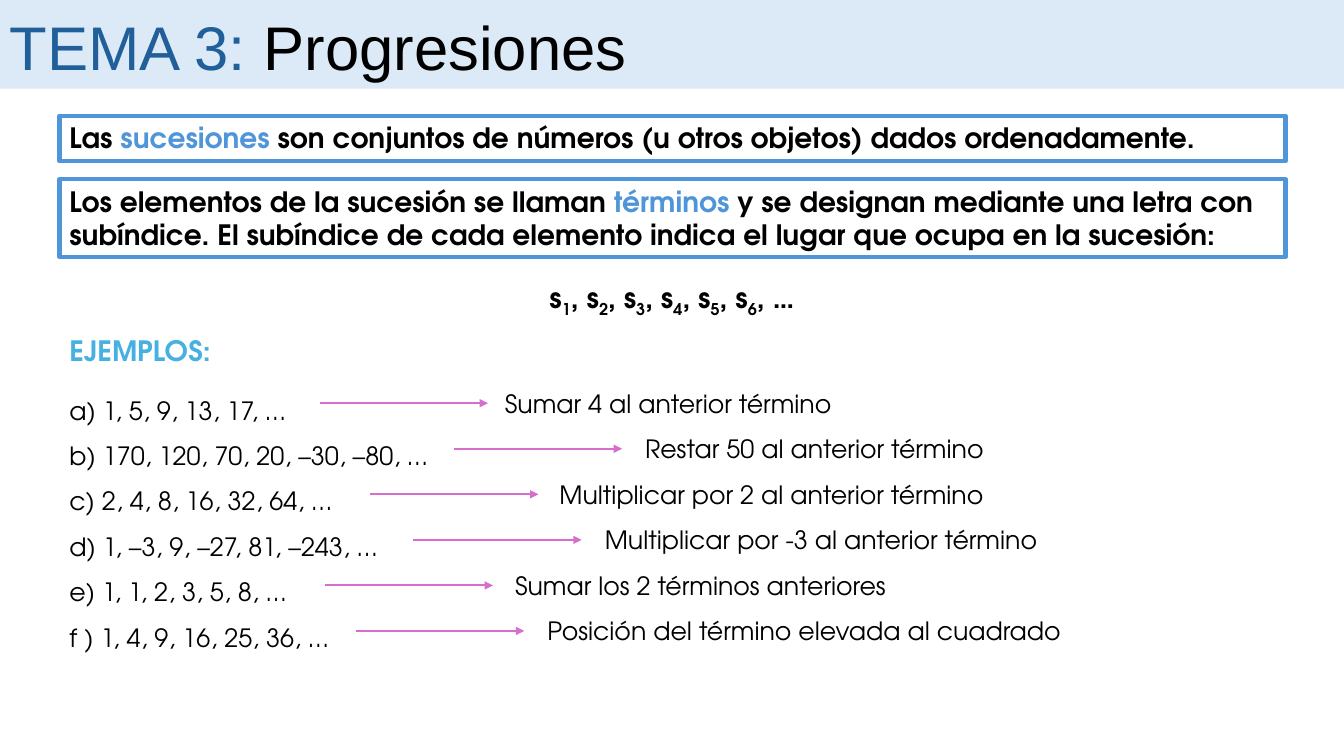
import dataclasses

import lxml.etree
import pptx
import pptx.dml.color
import pptx.enum.shapes
import pptx.enum.text
import pptx.oxml.ns
import pptx.util

Inches = pptx.util.Inches
Pt = pptx.util.Pt
qn = pptx.oxml.ns.qn
LEFT = pptx.enum.text.PP_ALIGN.LEFT
CENTER = pptx.enum.text.PP_ALIGN.CENTER


@dataclasses.dataclass(frozen=True)
class Theme:
    head: str = "Arial"
    body: str = "TeX Gyre Adventor"
    black: str = "000000"
    band: str = "DCEAF7"
    navy: str = "215F9A"
    blue: str = "4E95D9"
    sky: str = "46B1E1"
    pink: str = "D86ECC"
    title: int = 44
    large: int = 20
    small: int = 18
    frame: float = 3
    arrow: float = 1.5


THEME = Theme()

# Series, arrow start, rule start and rule width
ROWS = [
    ("a) 1, 5, 9, 13, 17, …", 3.17, "Sumar 4 al anterior término", 4.91, 3.96),
    ("b) 170, 120, 70, 20, –30, –80, …", 4.5, "Restar 50 al anterior término", 6.3, 3.96),
    ("c) 2, 4, 8, 16, 32, 64, …", 3.67, "Multiplicar por 2 al anterior término", 5.45, 5.02),
    ("d) 1, –3, 9, –27, 81, –243, …", 4.1, "Multiplicar por -3 al anterior término", 5.9, 5.02),
    ("e) 1, 1, 2, 3, 5, 8, …", 3.22, "Sumar los 2 términos anteriores", 5.01, 5.02),
    ("f ) 1, 4, 9, 16, 25, 36, …", 3.53, "Posición del término elevada al cuadrado", 5.33, 5.85),
]


def color(code):
    return pptx.dml.color.RGBColor.from_string(code)


def write(slide, box, paras, size, face=THEME.body, bold=False, align=LEFT, space=None):
    """Add a text box; each paragraph is a list of (text, colour, is subscript)."""
    area = slide.shapes.add_textbox(*map(Inches, box))
    frame = area.text_frame
    frame.word_wrap = True
    frame.auto_size = pptx.enum.text.MSO_AUTO_SIZE.SHAPE_TO_FIT_TEXT
    for i, parts in enumerate(paras):
        para = frame.add_paragraph() if i else frame.paragraphs[0]
        para.alignment = align
        para.line_spacing = space
        para.font.name = face
        para.font.size = Pt(size)
        para.font.bold = bold
        for text, code, sub in parts:
            run = para.add_run()
            run.text = text
            run.font.color.rgb = color(code)
            if sub:
                run.font._element.set("baseline", "-25000")


def panel(slide, box, fill=None, line=None):
    shape = slide.shapes.add_shape(
        pptx.enum.shapes.MSO_SHAPE.RECTANGLE, *map(Inches, box))
    shape.shadow.inherit = False
    if fill:
        shape.fill.solid()
        shape.fill.fore_color.rgb = color(fill)
    else:
        shape.fill.background()
    if line:
        shape.line.color.rgb = color(line)
        shape.line.width = Pt(THEME.frame)
    else:
        shape.line.fill.background()


def arrow(slide, left, top, width):
    link = slide.shapes.add_connector(
        pptx.enum.shapes.MSO_CONNECTOR.STRAIGHT,
        Inches(left), Inches(top), Inches(left + width), Inches(top))
    link.line.color.rgb = color(THEME.pink)
    link.line.width = Pt(THEME.arrow)
    lxml.etree.SubElement(link.line._get_or_add_ln(), qn("a:tailEnd"), type="triangle")
    lxml.etree.SubElement(link._element.spPr, qn("a:effectLst"))


def header(slide, box):
    left, top, width, height = box
    panel(slide, box, fill=THEME.band)
    parts = [("TEMA 3: ", THEME.navy, False), ("Progresiones", THEME.black, False)]
    write(slide, (left, top + 0.04, width - 1.48, height - 0.04), [parts],
          THEME.title, THEME.head)


def define(slide, box, before, term, after):
    """Add a framed definition with its key term in blue."""
    panel(slide, box, line=THEME.blue)
    parts = [(before, THEME.black, False), (term, THEME.blue, False),
             (after, THEME.black, False)]
    write(slide, box, [parts], THEME.large, bold=True)


def terms(slide, box, count):
    """Add the row of indexed terms."""
    parts = []
    for i in range(1, count + 1):
        parts += [("s" if i == 1 else ", s", THEME.black, False),
                  (str(i), THEME.black, True)]
    parts.append((", …", THEME.black, False))
    write(slide, box, [parts], THEME.large, bold=True, align=CENTER)


def samples(slide, box):
    """Add the example series, each with an arrow to its rule."""
    left, top, width, height = box
    write(slide, (left, top, 3.03, 0.44), [[("EJEMPLOS:", THEME.sky, False)]],
          THEME.large, bold=True)
    series = [[(row[0], THEME.black, False)] for row in ROWS]
    write(slide, (left, top + 0.46, width, height - 0.46), series,
          THEME.small, space=1.5)
    step = 2.26 / (len(ROWS) - 1)
    for i, (_, start, rule, edge, span) in enumerate(ROWS):
        mid = top + 0.74 + i * step
        arrow(slide, start, mid, 1.67)
        write(slide, (edge, mid - 0.2, span, 0.4), [[(rule, THEME.black, False)]],
              THEME.small)


def main():
    deck = pptx.Presentation()
    deck.slide_width = Inches(13.33)
    deck.slide_height = Inches(7.5)
    slide = deck.slides.add_slide(deck.slide_layouts[6])
    header(slide, (0, 0, 13.33, 0.88))
    define(slide, (0.59, 1.15, 12.16, 0.45), "Las ", "sucesiones",
           " son conjuntos de números (u otros objetos) dados ordenadamente.")
    define(slide, (0.59, 1.78, 12.16, 0.77),
           "Los elementos de la sucesión se llaman ", "términos",
           " y se designan mediante una letra con subíndice. El subíndice de cada "
           "elemento indica el lugar que ocupa en la sucesión:")
    terms(slide, (5.05, 2.73, 3.23, 0.44), 6)
    samples(slide, (0.59, 3.26, 4.31, 3.23))
    deck.save("out.pptx")


if __name__ == "__main__":
    main()
